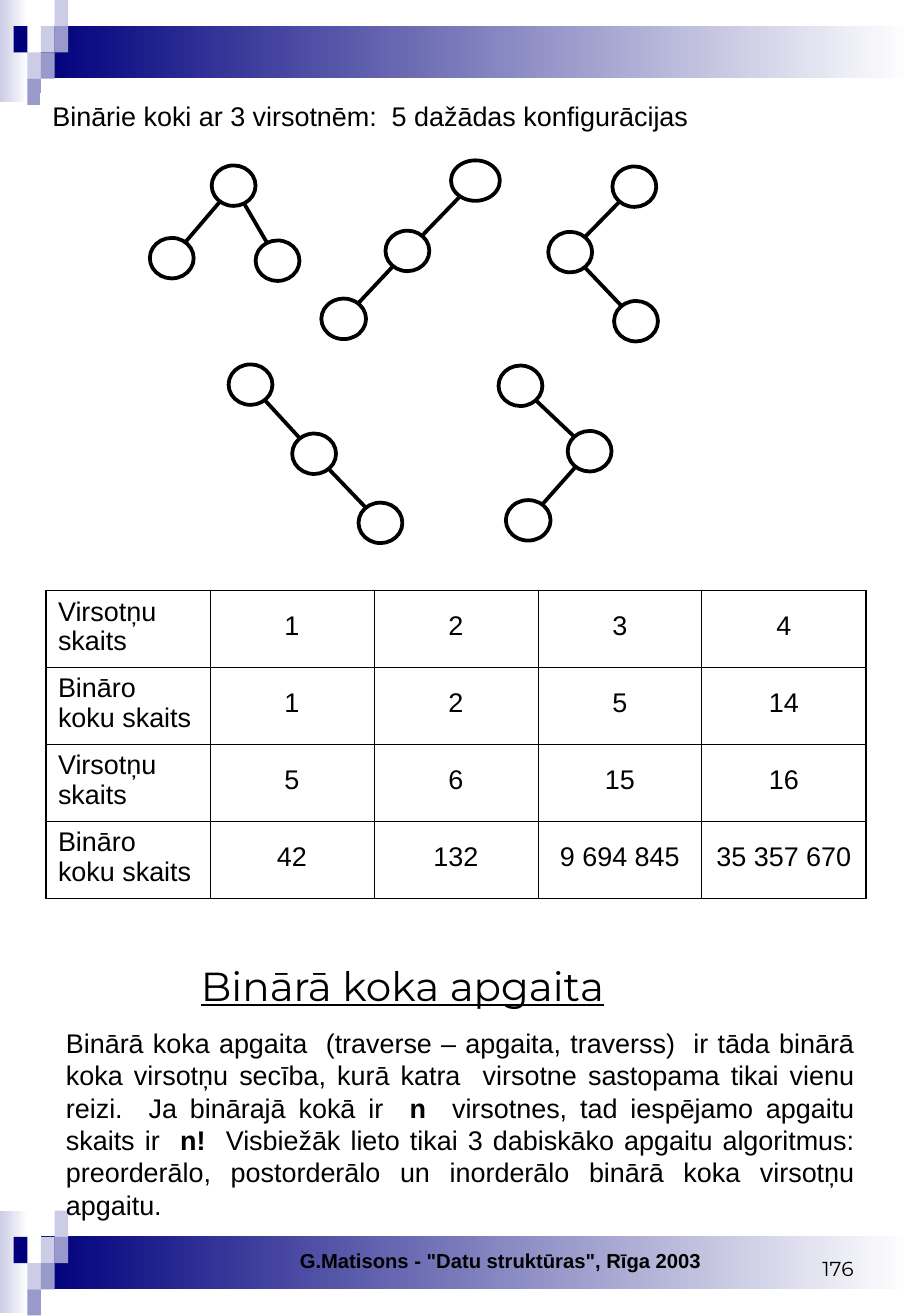
from dataclasses import dataclass
from math import hypot

from lxml.etree import SubElement
from pptx import Presentation
from pptx.dml.color import RGBColor
from pptx.enum.shapes import MSO_CONNECTOR, MSO_SHAPE
from pptx.enum.text import MSO_ANCHOR, PP_ALIGN
from pptx.oxml.ns import qn
from pptx.util import Pt


@dataclass(frozen=True)
class Theme:
    ink: str = "000000"
    paper: str = "FFFFFF"
    navy: str = "00007D"
    mid: str = "9999CC"
    pale: str = "CCCCE6"
    sans: str = "Arial"
    round: str = "Montserrat"
    head: float = 24
    body: float = 16
    small: float = 12
    stroke: float = 2.25
    frame: float = 1.08
    rule: float = 0.45


THEME = Theme()


def tint(code):
    return RGBColor.from_string(code)


def place(slide, kind, left, top, width, height, fill):
    shape = slide.shapes.add_shape(kind, Pt(left), Pt(top), Pt(width), Pt(height))
    shape.shadow.inherit = False
    shape.fill.solid()
    shape.fill.fore_color.rgb = tint(fill)
    shape.line.fill.background()
    return shape


def fade(shape, code):
    shape.fill.gradient()
    shape.fill.gradient_angle = 180
    for stop, shade in zip(shape.fill.gradient_stops, (THEME.paper, code)):
        stop.color.rgb = tint(shade)


def write(para, text, size, face=THEME.sans, bold=False, under=False):
    run = para.add_run()
    run.text = text
    font = run.font
    font.size, font.name = Pt(size), face
    font.bold, font.underline = bold, under
    font.color.rgb = tint(THEME.ink)


def frame(slide, left, top, width, height, anchor=MSO_ANCHOR.TOP):
    box = slide.shapes.add_textbox(Pt(left), Pt(top), Pt(width), Pt(height))
    text = box.text_frame
    text.word_wrap = True
    text.vertical_anchor = anchor
    return text


def band(slide, left, top, width):
    side = place(slide, MSO_SHAPE.RECTANGLE, left, top, 16.5, 60.5, THEME.paper)
    fade(side, THEME.pale)
    bar = place(slide, MSO_SHAPE.RECTANGLE, left + 24.4, top + 15.3, width - 24.4, 31, THEME.paper)
    fade(bar, THEME.navy)
    tiles = [(3, 1, THEME.pale), (4, 0, THEME.pale), (4, 1, THEME.mid),
             (2, 2, THEME.pale), (1, 1, THEME.navy), (3, 2, THEME.mid),
             (2, 3, THEME.mid)]
    wide, high = 8.1, 15.55
    for col, row, fill in tiles:
        place(slide, MSO_SHAPE.RECTANGLE, left + col * wide, top + row * high, wide, high, fill)


def title(slide, left, top, width, height):
    box = place(slide, MSO_SHAPE.RECTANGLE, left, top, width, height, THEME.paper)
    box.line.color.rgb = tint(THEME.paper)
    box.line.width = Pt(0.75)
    text = box.text_frame
    text.word_wrap = True
    text.vertical_anchor = MSO_ANCHOR.TOP
    para = text.paragraphs[0]
    para.alignment = PP_ALIGN.LEFT
    write(para, "Binārie koki ar 3 virsotnēm:  5 dažādas konfigurācijas", THEME.body)


def edge(slide, start, end):
    (ax, ay, aw), (bx, by, bw) = start, end
    dx, dy = bx - ax, by - ay
    near = 1 / hypot(2 * dx / aw, dy / 12)
    far = 1 / hypot(2 * dx / bw, dy / 12)
    line = slide.shapes.add_connector(
        MSO_CONNECTOR.STRAIGHT, Pt(ax + near * dx), Pt(ay + near * dy),
        Pt(bx - far * dx), Pt(by - far * dy))
    line.line.color.rgb = tint(THEME.ink)
    line.line.width = Pt(THEME.stroke)
    SubElement(line._element.spPr, qn("a:effectLst"))


def tree(slide, left, top, nodes, links=((0, 1), (1, 2))):
    spots = [(left + x, top + y, width) for x, y, width in nodes]
    for start, end in links:
        edge(slide, spots[start], spots[end])
    for x, y, width in spots:
        node = place(slide, MSO_SHAPE.OVAL, x - width / 2, y - 12, width, 24, THEME.paper)
        node.line.color.rgb = tint(THEME.ink)
        node.line.width = Pt(THEME.stroke)


def trees(slide, left, top):
    tree(slide, left, top + 3, [(49.7, 12, 26), (13, 55, 26), (75.7, 56.5, 26)],
         [(0, 1), (0, 2)])
    tree(slide, left + 101.5, top, [(91.5, 12, 29), (51.2, 53.7, 26), (13.4, 94, 26.5)])
    tree(slide, left + 236.2, top + 3.6, [(51, 12, 26), (13, 50.8, 26), (52, 91.8, 26)])
    tree(slide, left + 46.7, top + 121, [(13, 12, 26), (50.7, 53, 26), (90, 94, 26)])
    tree(slide, left + 206.7, top + 121.7, [(13, 12, 26), (54, 50.8, 26), (17.6, 91.8, 26.5)])


def border(cell, name, width):
    line = SubElement(cell._tc.get_or_add_tcPr(), qn("a:" + name), w=str(Pt(width)))
    fill = SubElement(line, qn("a:solidFill"))
    SubElement(fill, qn("a:srgbClr"), val=THEME.ink)


def grid(slide, left, top, width, height):
    node, count = "Virsotņu skaits", "Bināro koku skaits"
    rows = [(node, "1", "2", "3", "4"), (count, "1", "2", "5", "14"),
            (node, "5", "6", "15", "16"),
            (count, "42", "132", "9 694 845", "35 357 670")]
    high, wide = len(rows), len(rows[0])
    table = slide.shapes.add_table(
        high, wide, Pt(left), Pt(top), Pt(width), Pt(height)).table
    table.first_row = table.horz_banding = False
    for r, row in enumerate(rows):
        table.rows[r].height = Pt(height / high)
        for c, value in enumerate(row):
            table.columns[c].width = Pt(width / wide)
            cell = table.cell(r, c)
            rims = {"lnL": c == 0, "lnR": c == wide - 1,
                    "lnT": r == 0, "lnB": r == high - 1}
            for name, rim in rims.items():
                border(cell, name, THEME.frame if rim else THEME.rule)
            cell.fill.background()
            para = cell.text_frame.paragraphs[0]
            if c:
                para.alignment = PP_ALIGN.CENTER
                para.line_spacing = 1.5
            write(para, value, THEME.body)


def prose(slide, left, top, width, height):
    text = frame(slide, left, top, width, height)
    head = text.paragraphs[0]
    head._p.get_or_add_pPr().set("marL", str(Pt(80)))
    write(head, "Binārā koka apgaita", THEME.head, THEME.round, under=True)
    para = text.add_paragraph()
    para.alignment = PP_ALIGN.JUSTIFY
    para.space_before = Pt(10)
    parts = [
        ("Binārā koka apgaita  (traverse – apgaita, traverss)  ir tāda binārā koka "
         "virsotņu secība, kurā katra  virsotne sastopama tikai vienu reizi.  "
         "Ja binārajā kokā ir  ", False),
        ("n", True),
        ("  virsotnes, tad iespējamo apgaitu skaits ir  ", False),
        ("n!  ", True),
        ("Visbiežāk lieto tikai 3 dabiskāko apgaitu algoritmus: preorderālo, "
         "postorderālo un inorderālo binārā koka virsotņu apgaitu.", False),
    ]
    for part, bold in parts:
        write(para, part, THEME.body, bold=bold)


def note(slide, left, top, width, height, words, face, bold):
    para = frame(slide, left, top, width, height, MSO_ANCHOR.BOTTOM).paragraphs[0]
    para.alignment = PP_ALIGN.RIGHT
    write(para, words, THEME.small, face, bold)


def foot(slide, left, top):
    note(slide, left, top, 357, 22.3, 'G.Matisons - "Datu struktūras", Rīga 2003', THEME.sans, True)
    note(slide, left + 363, top, 84.2, 26.6, "176", THEME.round, False)


def main():
    deck = Presentation()
    deck.slide_width = Pt(540)
    deck.slide_height = Pt(780.48)
    deck._element.sldSz.attrib.pop("type", None)
    slide = deck.slides.add_slide(deck.slide_layouts[6])
    for top in (718, 0):
        band(slide, 0, top, 540)
    title(slide, 24, 55.5, 501, 32.4)
    trees(slide, 88.8, 95.1)
    grid(slide, 27.2, 350.3, 486, 182.6)
    prose(slide, 32, 566.4, 481.7, 161.3)
    foot(slide, 65.9, 736.2)
    deck.save("out.pptx")


if __name__ == "__main__":
    main()
